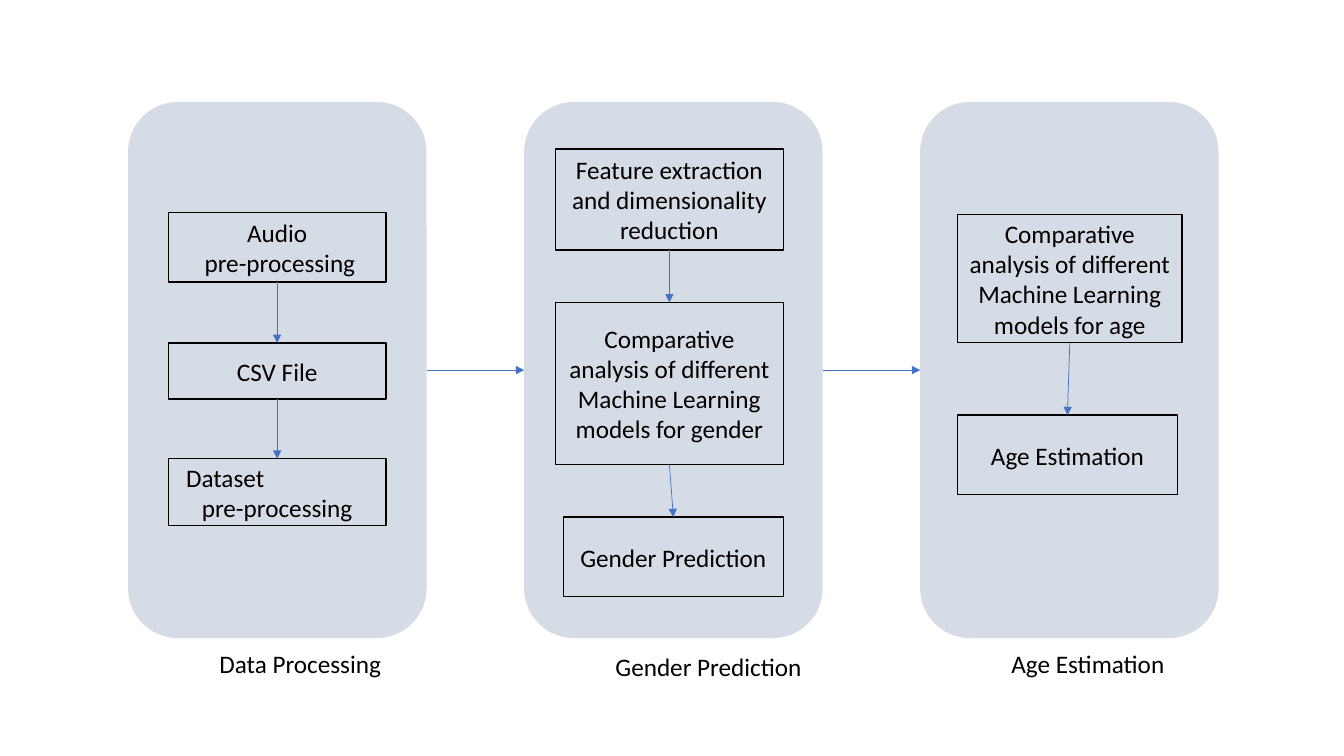
"""Build a three-stage flow of audio processing, gender prediction and age estimation."""
import dataclasses
import itertools

import lxml.etree
import pptx
import pptx.dml.color
import pptx.enum.shapes
import pptx.enum.text
import pptx.oxml.ns
import pptx.shapes.autoshape
import pptx.shapes.connector
import pptx.slide
import pptx.text.text
import pptx.util

Cm = pptx.util.Cm
Pt = pptx.util.Pt
RGB = pptx.dml.color.RGBColor
Align = pptx.enum.text.PP_ALIGN
Shape = pptx.enum.shapes.MSO_SHAPE
qn = pptx.oxml.ns.qn


@dataclasses.dataclass(frozen=True)
class Theme:
    panel: RGB = RGB(0xD6, 0xDC, 0xE5)
    ink: RGB = RGB(0, 0, 0)
    arrow: RGB = RGB(0x44, 0x72, 0xC4)
    font: str = "Calibri"
    size: float = 18
    box_line: float = 1
    arrow_line: float = 0.5


@dataclasses.dataclass(frozen=True)
class Line:
    text: str
    align: Align = Align.CENTER
    indent: float = 0


@dataclasses.dataclass(frozen=True)
class Box:
    left: float
    top: float
    width: float
    height: float
    lines: tuple[Line, ...]


@dataclasses.dataclass(frozen=True)
class Stage:
    caption: str
    caption_top: float
    boxes: tuple[Box, ...]


THEME = Theme()
PANEL_LEFT, PANEL_TOP, PANEL_WIDTH, PANEL_HEIGHT = 3.23, 2.57, 7.52, 13.51
PANEL_PITCH = 9.98
CAPTION_OFFSET, CAPTION_WIDTH, CAPTION_HEIGHT = 2.05, 5.46, 1.02
TOP, LEFT, BOTTOM, RIGHT = range(4)

STAGES = (
    Stage("Data Processing", 16.21, (
        Box(4.24, 5.36, 5.49, 1.75, (Line("Audio"), Line("pre-processing", indent=0.14))),
        Box(4.24, 8.64, 5.49, 1.42, (Line("CSV File"),)),
        Box(4.24, 11.56, 5.49, 1.68,
            (Line("Dataset", Align.LEFT, 0.2), Line("pre-processing"))),
    )),
    Stage("Gender Prediction", 16.28, (
        Box(14, 3.76, 5.74, 2.54,
            (Line("Feature extraction and dimensionality reduction"),)),
        Box(14, 7.62, 5.74, 4.09,
            (Line("Comparative analysis of different Machine Learning models for gender"),)),
        Box(14.2, 13.03, 5.54, 2.01, (Line("Gender Prediction"),)),
    )),
    Stage("Age Estimation", 16.21, (
        Box(24.13, 5.41, 5.66, 3.23,
            (Line("Comparative analysis of different Machine Learning models for age"),)),
        Box(24.13, 10.46, 5.54, 2.01, (Line("Age Estimation"),)),
    )),
)


def apply(target: object, values: dict[str, object]) -> None:
    for name, value in values.items():
        setattr(target, name, value)


def write(tf: pptx.text.text.TextFrame, lines: tuple[Line, ...]) -> None:
    tf.word_wrap = True
    for i, line in enumerate(lines):
        p = tf.paragraphs[0] if i == 0 else tf.add_paragraph()
        p.alignment = line.align
        if line.indent:
            p._p.get_or_add_pPr().set("marL", str(Cm(line.indent)))
        r = p.add_run()
        r.text = line.text
        apply(r.font, {"name": THEME.font, "size": Pt(THEME.size)})
        r.font.color.rgb = THEME.ink


def add_filled(s: pptx.slide.Slide, kind: Shape, left: float, top: float,
               width: float, height: float) -> pptx.shapes.autoshape.Shape:
    sp = s.shapes.add_shape(kind, Cm(left), Cm(top), Cm(width), Cm(height))
    sp.shadow.inherit = False
    sp.fill.solid()
    sp.fill.fore_color.rgb = THEME.panel
    sp.line.fill.background()
    return sp


def add_box(s: pptx.slide.Slide, box: Box) -> pptx.shapes.autoshape.Shape:
    sp = add_filled(s, Shape.RECTANGLE, box.left, box.top, box.width, box.height)
    sp.line.color.rgb = THEME.ink
    sp.line.width = Pt(THEME.box_line)
    sp.text_frame.vertical_anchor = pptx.enum.text.MSO_ANCHOR.MIDDLE
    write(sp.text_frame, box.lines)
    return sp


def add_arrow(s: pptx.slide.Slide, start: pptx.shapes.autoshape.Shape, start_side: int,
              end: pptx.shapes.autoshape.Shape, end_side: int) -> None:
    cxn = s.shapes.add_connector(pptx.enum.shapes.MSO_CONNECTOR.STRAIGHT, 0, 0, 0, 0)
    cxn.begin_connect(start, start_side)
    cxn.end_connect(end, end_side)
    cxn.line.color.rgb = THEME.arrow
    cxn.line.width = Pt(THEME.arrow_line)
    lxml.etree.SubElement(cxn.line._get_or_add_ln(), qn("a:tailEnd"), type="triangle")
    lxml.etree.SubElement(cxn._element.spPr, qn("a:effectLst"))


def add_stage(s: pptx.slide.Slide, stage: Stage,
              left: float) -> pptx.shapes.autoshape.Shape:
    panel = add_filled(s, Shape.ROUNDED_RECTANGLE, left, PANEL_TOP,
                       PANEL_WIDTH, PANEL_HEIGHT)
    boxes = [add_box(s, box) for box in stage.boxes]
    for upper, lower in itertools.pairwise(boxes):
        add_arrow(s, upper, BOTTOM, lower, TOP)
    caption = s.shapes.add_textbox(Cm(left + CAPTION_OFFSET), Cm(stage.caption_top),
                                   Cm(CAPTION_WIDTH), Cm(CAPTION_HEIGHT))
    write(caption.text_frame, (Line(stage.caption, Align.LEFT),))
    return panel


def main() -> None:
    prs = pptx.Presentation()
    apply(prs, {"slide_width": Cm(33.87), "slide_height": Cm(19.05)})
    s = prs.slides.add_slide(prs.slide_layouts[6])
    panels = [add_stage(s, stage, PANEL_LEFT + i * PANEL_PITCH)
              for i, stage in enumerate(STAGES)]
    for before, after in itertools.pairwise(panels):
        add_arrow(s, before, RIGHT, after, LEFT)
    prs.save("out.pptx")


if __name__ == "__main__":
    main()
